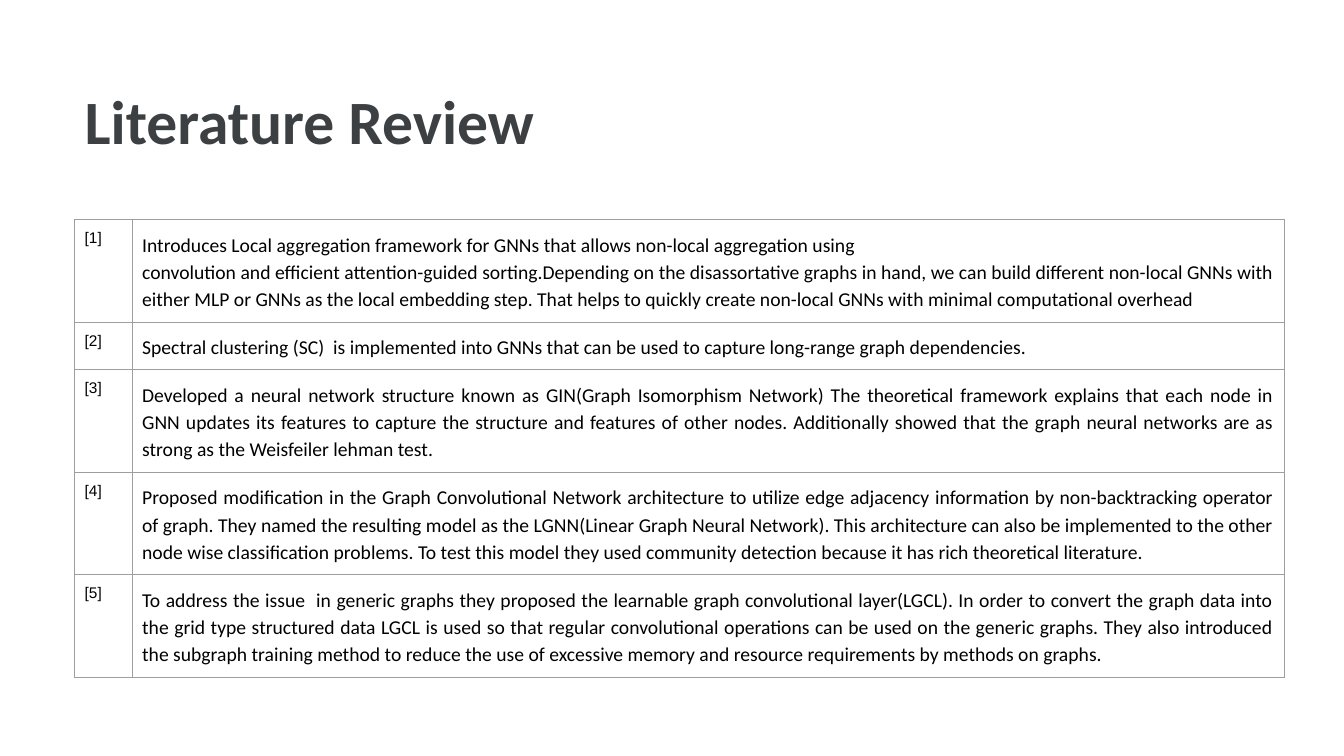
from dataclasses import dataclass

from lxml.etree import SubElement
from pptx import Presentation
from pptx.dml.color import RGBColor
from pptx.enum.text import MSO_ANCHOR as Anchor, PP_ALIGN as Align
from pptx.oxml.ns import qn
from pptx.util import Inches, Pt

TITLE = "Literature Review"
REVIEWS = [
    ["Introduces Local aggregation framework for GNNs that allows non-local aggregation using ",
     "convolution and efficient attention-guided sorting.Depending on the disassortative graphs in hand, "
     "we can build different non-local GNNs with either MLP or GNNs as the local embedding step. "
     "That helps to quickly create non-local GNNs with minimal computational overhead"],
    ["Spectral clustering (SC)  is implemented into GNNs that can be used to capture "
     "long-range graph dependencies."],
    ["Developed a neural network structure known as GIN(Graph Isomorphism Network) The theoretical "
     "framework explains that each node in GNN updates its features to capture the structure and features "
     "of other nodes. Additionally showed that the graph neural networks are as strong as the "
     "Weisfeiler lehman test."],
    ["Proposed modification in the Graph Convolutional Network architecture to utilize edge adjacency "
     "information by non-backtracking operator of graph. They named the resulting model as the "
     "LGNN(Linear Graph Neural Network). This architecture can also be implemented to the other node wise "
     "classification problems. To test this model they used community detection because it has rich "
     "theoretical literature."],
    ["To address the issue  in generic graphs they proposed the learnable graph convolutional layer(LGCL). "
     "In order to convert the graph data into the grid type structured data LGCL is used so that regular "
     "convolutional operations can be used on the generic graphs. They also introduced the subgraph "
     "training method to reduce the use of excessive memory and resource requirements by methods on graphs."],
]


@dataclass(frozen=True)
class Theme:
    title: str = "3C4043"
    text: str = "000000"
    border: str = "9E9E9E"
    border_width: float = 0.75
    title_size: int = 44
    body_size: int = 14
    label_size: int = 11
    body_font: str = "Calibri"
    label_font: str = "Arial"


T = Theme()
WIDTH, HEIGHT = 13.33, 7.5
LEFT = 0.74
TITLE_BOX = dict(left=LEFT, top=0.41, width=11.5, height=1.45)
TABLE_TOP, ROW_HEIGHT = 2.18, 0.42
COLUMNS = [0.57, 11.43]
TITLE_FORMAT = dict(alignment=Align.LEFT, line_spacing=1.15, space_before=Pt(22), space_after=Pt(22))
LABEL_FORMAT = dict(alignment=Align.LEFT)
BODY_FORMAT = dict(alignment=Align.JUSTIFY, line_spacing=1.15)


def set_all(target, values):
    for name, value in values.items():
        setattr(target, name, value)


def write(tf, lines, para, size, font, color, bold=False):
    for i, line in enumerate(lines):
        p = tf.paragraphs[0] if i == 0 else tf.add_paragraph()
        set_all(p, para)
        r = p.add_run()
        r.text = line
        set_all(r.font, dict(size=Pt(size), name=font, bold=bold))
        r.font.color.rgb = RGBColor.from_string(color)


def format_cell(cell):
    margins = ("margin_left", "margin_right", "margin_top", "margin_bottom")
    set_all(cell, dict.fromkeys(margins, Inches(0.1)))
    cell.vertical_anchor = Anchor.TOP
    tcPr = cell._tc.get_or_add_tcPr()
    for side in ("lnL", "lnR", "lnT", "lnB"):
        ln = SubElement(tcPr, qn(f"a:{side}"), w=str(Pt(T.border_width)))
        SubElement(SubElement(ln, qn("a:solidFill")), qn("a:srgbClr"), val=T.border)
    cell.fill.background()


def add_title(s):
    title = s.shapes.title
    set_all(title, {name: Inches(v) for name, v in TITLE_BOX.items()})
    tf = title.text_frame
    set_all(tf, dict(vertical_anchor=Anchor.MIDDLE, word_wrap=True))
    write(tf, [TITLE], TITLE_FORMAT, T.title_size, T.body_font, T.title, True)


def add_reviews(s):
    rows = len(REVIEWS)
    frame = s.shapes.add_table(rows, len(COLUMNS), Inches(LEFT), Inches(TABLE_TOP),
                               Inches(sum(COLUMNS)), Inches(rows * ROW_HEIGHT))
    table = frame.table
    set_all(table, dict(first_row=False, horz_banding=False))
    for column, width in zip(table.columns, COLUMNS):
        column.width = Inches(width)
    for number, (row, review) in enumerate(zip(table.rows, REVIEWS), 1):
        row.height = Inches(ROW_HEIGHT)
        label, body = row.cells
        write(label.text_frame, [f"[{number}]"], LABEL_FORMAT, T.label_size, T.label_font, T.text)
        write(body.text_frame, review, BODY_FORMAT, T.body_size, T.body_font, T.text)
        for cell in (label, body):
            format_cell(cell)


def main():
    prs = Presentation()
    set_all(prs, dict(slide_width=Inches(WIDTH), slide_height=Inches(HEIGHT)))
    s = prs.slides.add_slide(prs.slide_layouts.get_by_name("Title Only"))
    add_title(s)
    add_reviews(s)
    prs.save("out.pptx")


if __name__ == "__main__":
    main()
